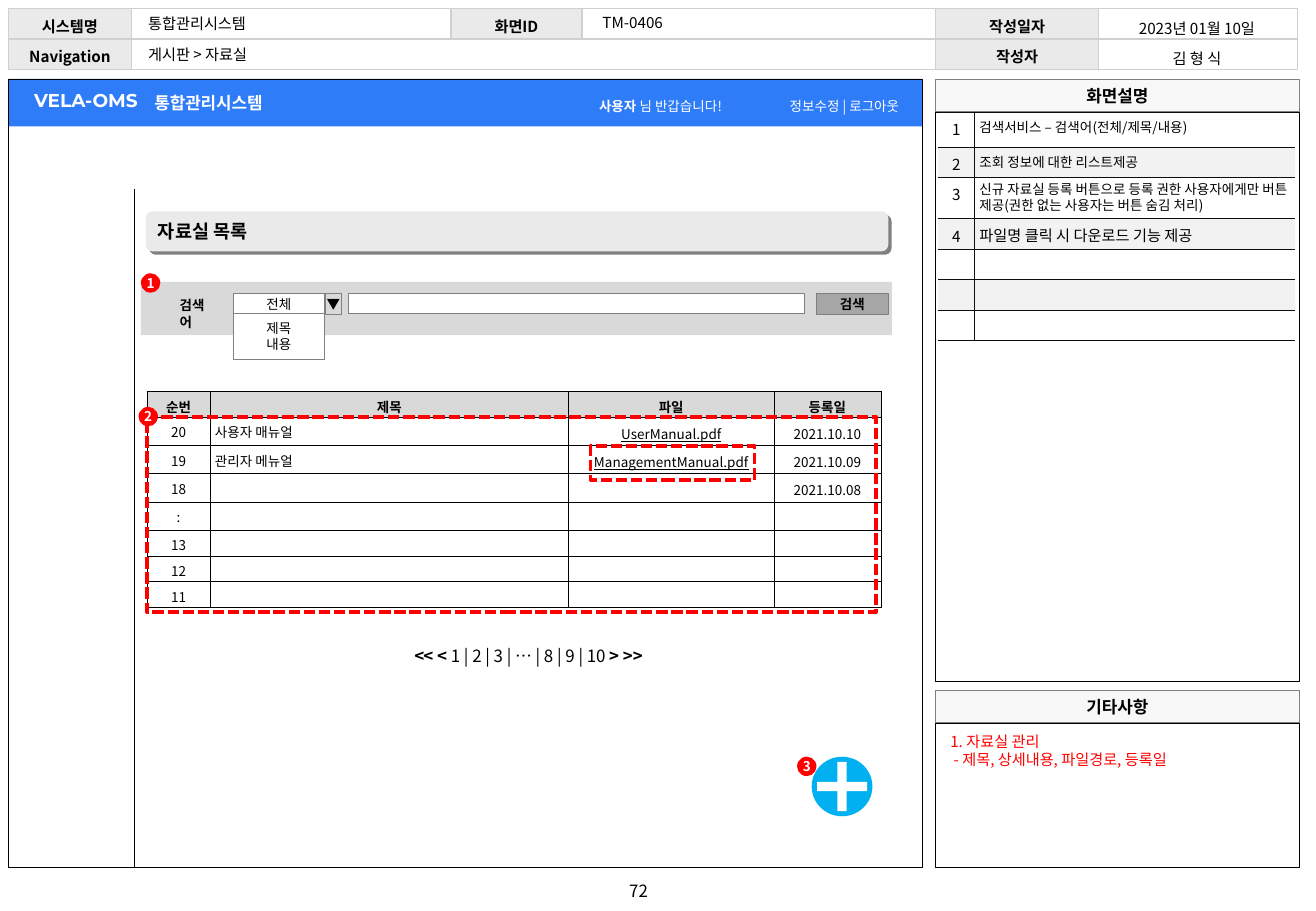
from dataclasses import dataclass
from typing import Optional

import lxml.etree
import pptx
import pptx.dml.color
import pptx.enum.dml
import pptx.enum.shapes
import pptx.enum.text
import pptx.oxml.ns
import pptx.util

SHAPE = pptx.enum.shapes.MSO_SHAPE
LEFT, CENTER = pptx.enum.text.PP_ALIGN.LEFT, pptx.enum.text.PP_ALIGN.CENTER
TOP, MIDDLE = pptx.enum.text.MSO_ANCHOR.TOP, pptx.enum.text.MSO_ANCHOR.MIDDLE
FONT = "Noto Sans CJK KR"
BLACK, WHITE, RED, GRAY, SILVER, PALE = "000000", "FFFFFF", "FF0000", "808080", "D9D9D9", "EAEAEA"
NO_STYLE = "{2D5ABB26-0587-4C30-8999-92F81FD0307C}"


@dataclass
class Box:
    """Place and size in grid columns and rows, ten to the inch."""
    x: float
    y: float
    w: float
    h: float


@dataclass
class Run:
    text: str
    bold: bool = False
    underline: bool = False
    spacing: int = 0


@dataclass
class Cell:
    runs: tuple = ()
    size: float = 8
    align: int = CENTER
    fill: Optional[str] = None
    side: float = 0.4
    top: float = 0.4
    borders: str = "LRTB"
    leading: Optional[float] = None


def grid(n: float) -> int:
    return pptx.util.Inches(n / 10)


def rgb(color: str):
    return pptx.dml.color.RGBColor.from_string(color)


def sub(parent, tag: str, **attrs):
    return lxml.etree.SubElement(parent, pptx.oxml.ns.qn(tag), **attrs)


def place(sp, box: Box) -> None:
    sp.left, sp.top, sp.width, sp.height = map(grid, (box.x, box.y, box.w, box.h))


def write(p, runs, size: float, color: str = BLACK, align: int = LEFT, font: str = FONT) -> None:
    p.alignment = align
    for run in runs:
        r = p.add_run()
        r.text = run.text
        r.font.size, r.font.bold, r.font.underline = pptx.util.Pt(size), run.bold, run.underline
        r.font.color.rgb = rgb(color)
        r.font.name = font
        rpr = r._r.get_or_add_rPr()
        sub(rpr, "a:ea", typeface=font)
        if run.spacing:
            rpr.set("spc", str(run.spacing))


def frame(sp, anchor: int, side: float, edge: float):
    tf = sp.text_frame
    tf.word_wrap, tf.auto_size = True, pptx.enum.text.MSO_AUTO_SIZE.NONE
    tf.vertical_anchor = anchor
    tf.margin_left = tf.margin_right = grid(side)
    tf.margin_top = tf.margin_bottom = grid(edge)
    return tf


def shape(kind: int, box: Box, fill: Optional[str] = None, line: Optional[str] = None,
          weight: float = 0.5, lines=(), size: float = 8, color: str = BLACK):
    sp = s.shapes.add_shape(kind, *map(grid, (box.x, box.y, box.w, box.h)))
    sp.shadow.inherit = False
    if fill:
        sp.fill.solid()
        sp.fill.fore_color.rgb = rgb(fill)
    else:
        sp.fill.background()
    if line:
        sp.line.color.rgb = rgb(line)
        sp.line.width = pptx.util.Pt(weight)
    else:
        sp.line.fill.background()
    if lines:
        tf = frame(sp, MIDDLE, 0, 0)
        for i, run in enumerate(lines):
            write(tf.add_paragraph() if i else tf.paragraphs[0], [run], size, color, CENTER)
    return sp


def label(box: Box, runs, size: float, color: str = BLACK, align: int = LEFT,
          side: float = 1, font: str = FONT) -> None:
    sp = s.shapes.add_textbox(*map(grid, (box.x, box.y, box.w, box.h)))
    write(frame(sp, TOP, side, 0.5).paragraphs[0], runs, size, color, align, font)


def table(x: float, y: float, widths, heights, rows, color: str = BLACK, weight: float = 0.25):
    sp = s.shapes.add_table(len(heights), len(widths),
                            *map(grid, (x, y, sum(widths), sum(heights))))
    t = sp.table
    t.first_row = t.horz_banding = False
    t._tbl.tblPr.find(pptx.oxml.ns.qn("a:tableStyleId")).text = NO_STYLE
    for col, width in zip(t.columns, widths):
        col.width = grid(width)
    for row, height, cells in zip(t.rows, heights, rows):
        row.height = grid(height)
        for tc, cell in zip(row.cells, cells):
            fill_cell(tc, cell, color, weight)
    return t


def fill_cell(tc, cell: Cell, color: str, weight: float) -> None:
    tc.margin_left = tc.margin_right = grid(cell.side)
    tc.margin_top, tc.margin_bottom = grid(cell.top), 0
    tcpr = tc._tc.get_or_add_tcPr()
    for side in cell.borders:
        ln = sub(tcpr, "a:ln" + side, w=str(pptx.util.Pt(weight)))
        sub(sub(ln, "a:solidFill"), "a:srgbClr", val=color)
    if cell.fill:
        tc.fill.solid()
        tc.fill.fore_color.rgb = rgb(cell.fill)
    else:
        tc.fill.background()
    p = tc.text_frame.paragraphs[0]
    write(p, cell.runs, cell.size, align=cell.align)
    if cell.leading:
        p.line_spacing = pptx.util.Pt(cell.leading)
    if not cell.runs:
        sub(p._p, "a:endParaRPr", sz="800")


prs = pptx.Presentation()
prs.slide_width, prs.slide_height = grid(108.3), grid(75)
s = prs.slides.add_slide(prs.slide_layouts[1])
title, notes = s.placeholders

# Page frame and header
shape(SHAPE.RECTANGLE, Box(0.7, 6.5, 75.2, 3.9), "2F7CF9")
shape(SHAPE.RECTANGLE, Box(0.7, 6.5, 75.2, 64.9), None, BLACK, 0.25)
for heading, y, body_h in (("화면설명", 6.5, 46.9), ("기타사항", 56.8, 11.9)):
    shape(SHAPE.RECTANGLE, Box(77, y + 2.7, 29.9, body_h), None, BLACK, 0.25)
    shape(SHAPE.RECTANGLE, Box(77, y, 29.9, 2.7), "F8F8F8", GRAY, 0.25, [Run(heading, True)], 10)
label(Box(49, 72, 7.1, 2.7), [Run("72")], 10, align=CENTER)

header = [[Cell((Run(text, True),), 9, fill=PALE, top=0.5) if text else Cell() for text in row]
          for row in (("시스템명", "", "화면ID", "", "작성일자", ""),
                      ("Navigation", "", "", "", "작성자", ""))]
t = table(0.7, 0.7, (10.1, 26.3, 10.8, 29.1, 13.4, 16.4), (2.5, 2.5), header, "D0D0D0", 1)
t.cell(1, 1).merge(t.cell(1, 3))
table(90.3, 0.9, (16.4,), (2.5, 2.5),
      [[Cell((Run(text),), 9, top=0.5, borders="")] for text in ("2023년 01월 10일", "김 형 식")])
for x, y, text in ((11.2, 0.7, "통합관리시스템"), (48.6, 0.6, "TM-0406"), (11.2, 3.2, "게시판 > 자료실")):
    label(Box(x, y, 15, 2.5), [Run(text)], 9)

label(Box(2.4, 6.8, 11, 2.9), [Run("VELA-OMS", True)], 11, WHITE, side=0.4, font="Montserrat")
label(Box(12.3, 7.1, 16.5, 2.7), [Run("통합관리시스템", True)], 10, WHITE, side=0.4)
label(Box(48.9, 7.6, 14, 2.4), [Run("사용자", True), Run(" 님 반갑습니다!")], 8, WHITE, side=0.4)
label(Box(63.1, 7.6, 12.8, 2.4), [Run("정보수정 | 로그아웃")], 8, WHITE, CENTER, 0.4)
menu_edge = s.shapes.add_connector(pptx.enum.shapes.MSO_CONNECTOR.STRAIGHT,
                                   *map(grid, (11.1, 15.6, 11.1, 71.4)))
menu_edge.line.color.rgb, menu_edge.line.width = rgb(BLACK), pptx.util.Pt(0.5)
sub(menu_edge._element.spPr, "a:effectLst")

# Page title
title_box = Box(12, 17.4, 61.1, 3.3)
bar = shape(SHAPE.ROUNDED_RECTANGLE, title_box, PALE)
shadow = sub(bar._element.spPr.find(pptx.oxml.ns.qn("a:effectLst")), "a:outerShdw",
             dist=str(pptx.util.Pt(2.8)), dir="2700000", algn="tl", rotWithShape="0")
sub(shadow, "a:srgbClr", val=GRAY)
place(title, title_box)
write(frame(title, MIDDLE, 1, 0).paragraphs[0], [Run("자료실 목록", True)], 11)
s.shapes._spTree.append(title._element)

# Board list
board = [[Cell((Run(text, True),), fill=SILVER, top=0.5) for text in ("순번", "제목", "파일", "등록일")]]
for number, name, file, date in (
        ("20", "사용자 매뉴얼", "UserManual.pdf", "2021.10.10"),
        ("19", "관리자 메뉴얼", "ManagementManual.pdf", "2021.10.09"),
        ("18", "", "", "2021.10.08"),
        *((n, "", "", "") for n in (":", "13", "12", "11"))):
    board.append([
        Cell((Run(number),), fill=WHITE),
        Cell((Run(name),) if name else (), align=LEFT, fill=WHITE),
        Cell((Run(file, underline=True),) if file else (), fill=WHITE, top=0.5),
        Cell((Run(date),) if date else (), fill=WHITE, top=0.5)])
table(12.1, 32.2, (5.2, 29.5, 16.9, 8.8), (2.15,) + (2.32,) * 4 + (2.13,) * 3, board)
for box in (Box(12.1, 34.3, 60, 16.1), Box(48.6, 36.7, 13.5, 2.8)):
    marked = shape(SHAPE.RECTANGLE, box, None, RED, 2.25)
    marked.line.dash_style = pptx.enum.dml.MSO_LINE.SQUARE_DOT
label(Box(30.2, 52.7, 26.6, 2.7),
      [Run("<<", True, spacing=-50), Run(" < ", True),
       Run("1 | 2 | 3 | … | 8 | 9 | 10 "), Run("> >>", True)], 10, align=CENTER)

# Search bar
shape(SHAPE.RECTANGLE, Box(11.6, 23.2, 61.8, 4.4), SILVER)
label(Box(13.8, 24, 4.4, 2.4), [Run("검색어", True)], 8)
for box, fill, lines in (
        (Box(67.2, 24.2, 5.9, 1.7), "A6A6A6", [Run("검색", True)]),
        (Box(28.7, 24.2, 37.5, 1.6), WHITE, []),
        (Box(26.8, 24.2, 1.3, 1.7), SILVER, [Run("▼", True)]),
        (Box(19.2, 24.2, 7.5, 1.7), WHITE, [Run("전체")]),
        (Box(19.2, 25.8, 7.5, 3.8), WHITE, [Run("제목"), Run("내용")])):
    shape(SHAPE.RECTANGLE, box, fill, GRAY, 0.5, lines)

# Add button and callout numbers
shape(SHAPE.OVAL, Box(66.8, 62.3, 5, 4.9), "00B0F0")
shape(SHAPE.MATH_PLUS, Box(66.5, 62, 5.6, 5.5), WHITE).adjustments[0] = 0.14
for number, x, y in (("1", 11.6, 22.5), ("2", 11.4, 33.5), ("3", 65.6, 62.3)):
    shape(SHAPE.OVAL, Box(x, y, 1.6, 1.6), RED, lines=[Run(number, True)], color=WHITE)

# Screen description and remarks
description = []
for i, (text, size, leading) in enumerate((
        ("검색서비스 – 검색어(전체/제목/내용)", 8, None),
        ("조회 정보에 대한 리스트제공", 8, None),
        ("신규 자료실 등록 버튼으로 등록 권한 사용자에게만 버튼 제공(권한 없는 사용자는 버튼 숨김 처리)", 8, 9.5),
        ("파일명 클릭 시 다운로드 기능 제공", 9, None),
        *(("", 8, None),) * 3)):
    band = "F2F2F2" if i % 2 else None
    description.append([
        Cell((Run(str(i + 1)),) if text else (), 9, fill=band, side=0, top=0.5, borders="RTB"),
        Cell((Run(text),) if text else (), size, LEFT, band, borders="LTB", leading=leading)])
table(77.2, 9.2, (3, 26.4), (2.9, 2.5, 3.4) + (2.5,) * 4, description, "0D0D0D")

place(notes, Box(77.2, 59.8, 29.5, 4))
tf = frame(notes, TOP, 1, 0.5)
for i, text in enumerate(("1. 자료실 관리", " - 제목, 상세내용, 파일경로, 등록일")):
    p = tf.add_paragraph() if i else tf.paragraphs[0]
    ppr = p._p.get_or_add_pPr()
    ppr.set("marL", str(grid(1)))
    ppr.set("indent", str(-grid(1)))
    sub(ppr, "a:buNone")
    p.space_before = pptx.util.Pt(0)
    write(p, [Run(text)], 9, RED)
s.shapes._spTree.append(notes._element)

prs.save("out.pptx")
